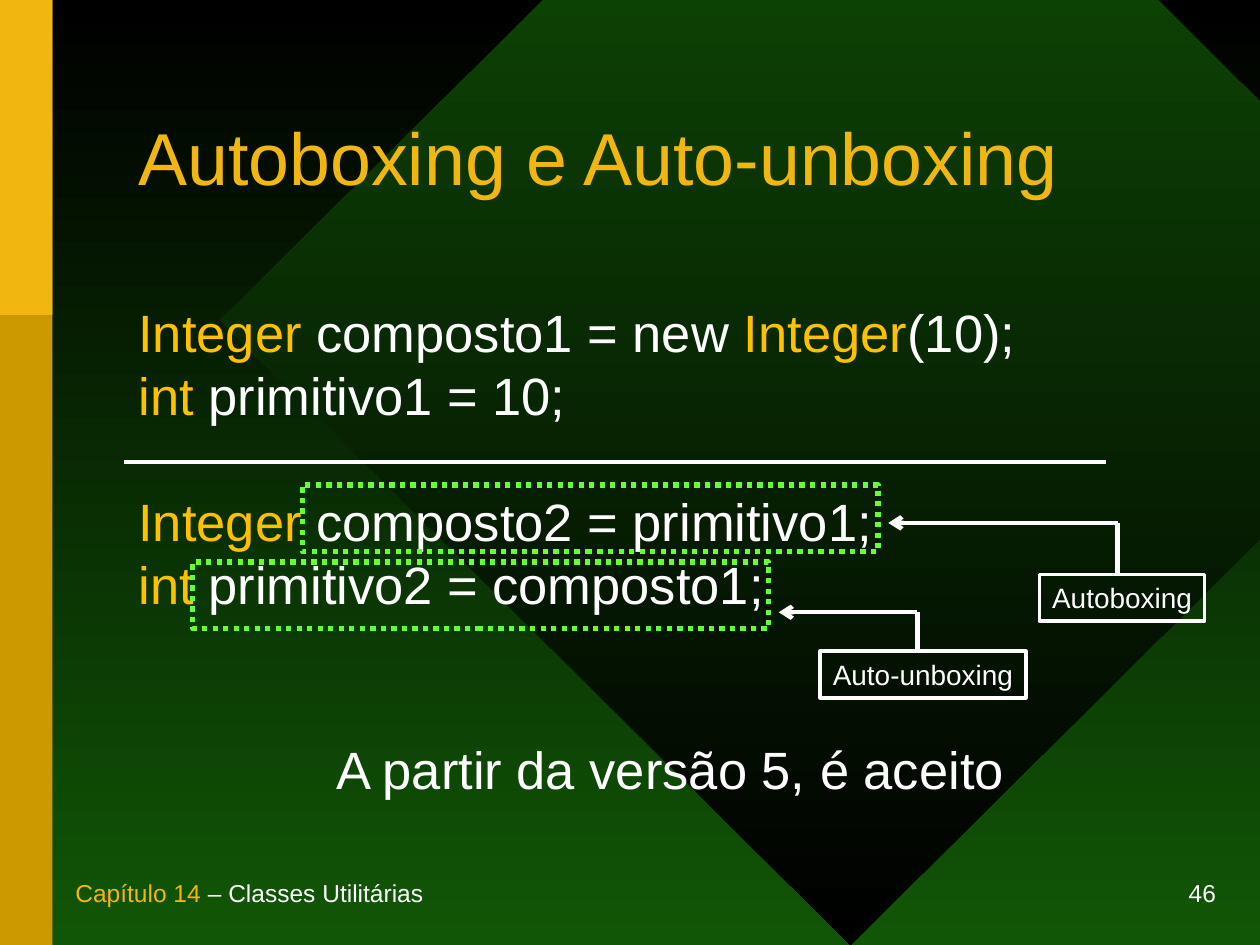
"""Builds the slide on autoboxing and auto-unboxing."""
from lxml import etree
from pptx import Presentation
from pptx.dml.color import RGBColor
from pptx.enum.dml import MSO_LINE
from pptx.enum.shapes import MSO_CONNECTOR, MSO_SHAPE
from pptx.enum.text import MSO_ANCHOR, PP_ALIGN
from pptx.oxml.ns import qn
from pptx.util import Pt

COLORS = {
    "black": "000000", "green": "115606", "ochre": "CC9900", "gold": "F1B60F",
    "type": "FFC000", "white": "FFFFFF", "lime": "66FF33",
}
FONT = "Arial"
WIDTH, HEIGHT = 720, 540
BAR_WIDTH = 30

TITLE = [[("Autoboxing e Auto-unboxing", "gold")]]
CODE = [
    [("Integer", "type"), (" composto1 = new ", "white"), ("Integer", "type"), ("(10);", "white")],
    [("int", "type"), (" primitivo1 = 10;", "white")],
    [("Integer", "type"), (" composto2 = primitivo1;", "white")],
    [("int", "type"), (" primitivo2 = composto1;", "white")],
]
CODE_GAPS = [0, 0, 36, 0]
CAPTION = [[("A partir da versão 5, é aceito", "white")]]
CHAPTER = [[("Capítulo 14", "gold"), (" – Classes Utilitárias", "white")]]
NUMBER = [[("46", "white")]]
CALLOUTS = [
    {"name": "Autoboxing", "code": (172.8, 277.2), "label": (594, 328.3, 94.3),
     "tip": 507.6, "elbow": (638.6, 298.8)},
    {"name": "Auto-unboxing", "code": (110.2, 321.1), "label": (468.7, 372.2, 117.4),
     "tip": 445, "elbow": (524.2, 349.9)},
]
CODE_FRAME = (329, 38.2)
LABEL_HEIGHT = 26.6


def rgb(name):
    return RGBColor.from_string(COLORS[name])


def fill_gradient(fill, start, end):
    fill.gradient()
    fill.gradient_angle = 270
    for stop, name in zip(fill.gradient_stops, (start, end)):
        stop.color.rgb = rgb(name)


def add_preset(slide, kind, box, fill=None, line=None, weight=0):
    shape = slide.shapes.add_shape(kind, *map(Pt, box))
    shape.shadow.inherit = False
    if fill:
        shape.fill.solid()
        shape.fill.fore_color.rgb = rgb(fill)
    else:
        shape.fill.background()
    if line:
        shape.line.color.rgb = rgb(line)
        shape.line.width = Pt(weight)
    else:
        shape.line.fill.background()
    return shape


def write(shape, paragraphs, size, gaps=(0,), wrap=False, anchor=MSO_ANCHOR.TOP,
          align=PP_ALIGN.LEFT, spacing=None):
    frame = shape.text_frame
    frame.word_wrap = wrap
    frame.vertical_anchor = anchor
    for index, (runs, gap) in enumerate(zip(paragraphs, gaps)):
        paragraph = frame.add_paragraph() if index else frame.paragraphs[0]
        paragraph.alignment = align
        if gap:
            paragraph.space_before = Pt(gap)
        if spacing:
            paragraph.line_spacing = spacing
        for words, color in runs:
            run = paragraph.add_run()
            run.text = words
            run.font.name = FONT
            run.font.size = Pt(size)
            run.font.color.rgb = rgb(color)


def add_text(slide, box, paragraphs, size, **options):
    write(slide.shapes.add_textbox(*map(Pt, box)), paragraphs, size, **options)


def add_line(slide, start, end, weight, arrow=False):
    line = slide.shapes.add_connector(MSO_CONNECTOR.STRAIGHT, *map(Pt, start + end))
    line.line.color.rgb = rgb("white")
    line.line.width = Pt(weight)
    if arrow:
        etree.SubElement(line.line._get_or_add_ln(), qn("a:tailEnd"), type="arrow")
    etree.SubElement(line._element.spPr, qn("a:effectLst"))


def add_backdrop(slide):
    fill_gradient(slide.background.fill, "black", "green")
    diamond = add_preset(slide, MSO_SHAPE.DIAMOND, (126, -174, WIDTH, HEIGHT + 174))
    fill_gradient(diamond.fill, "green", "black")
    add_preset(slide, MSO_SHAPE.RECTANGLE, (0, 0, BAR_WIDTH, HEIGHT), "ochre")
    add_preset(slide, MSO_SHAPE.RECTANGLE, (0, 0, BAR_WIDTH, HEIGHT / 3), "gold")


def add_callout(slide, callout):
    code_frame = add_preset(slide, MSO_SHAPE.RECTANGLE, callout["code"] + CODE_FRAME,
                            line="lime", weight=3)
    code_frame.line.dash_style = MSO_LINE.ROUND_DOT
    label = add_preset(slide, MSO_SHAPE.RECTANGLE, callout["label"] + (LABEL_HEIGHT,),
                       line="white", weight=2.25)
    write(label, [[(callout["name"], "white")]], 16, align=PP_ALIGN.CENTER)
    x, y = callout["elbow"]
    add_line(slide, (x, y), (callout["tip"], y), 2.5, arrow=True)
    add_line(slide, (x, callout["label"][1]), (x, y), 2.5)


def main():
    deck = Presentation()
    deck.slide_width, deck.slide_height = Pt(WIDTH), Pt(HEIGHT)
    slide = deck.slides.add_slide(deck.slide_layouts[6])
    add_backdrop(slide)
    add_text(slide, (522, 504, 180, 18), NUMBER, 14, anchor=MSO_ANCHOR.BOTTOM, align=PP_ALIGN.RIGHT)
    add_text(slide, (36, 504, 225, 18), CHAPTER, 14, anchor=MSO_ANCHOR.BOTTOM)
    add_text(slide, (72, 48, 594, 90), TITLE, 42, wrap=True, anchor=MSO_ANCHOR.MIDDLE, spacing=0.85)
    add_text(slide, (72, 168, 594, 221), CODE, 30, gaps=CODE_GAPS, wrap=True)
    add_line(slide, (70.6, 264.2), (632.2, 264.2), 2.25)
    add_text(slide, (185, 417.6, 397.4, 43.2), CAPTION, 30)
    for callout in CALLOUTS:
        add_callout(slide, callout)
    deck.save("out.pptx")


if __name__ == "__main__":
    main()
